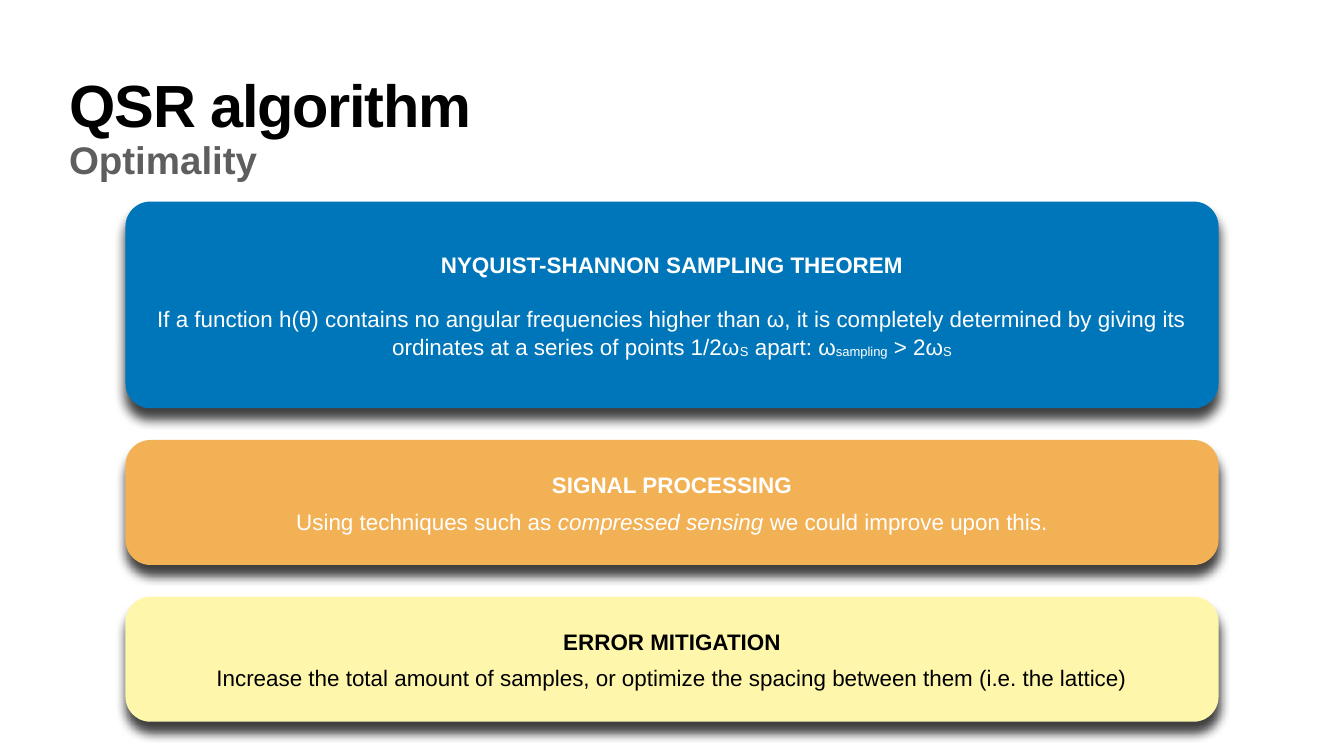
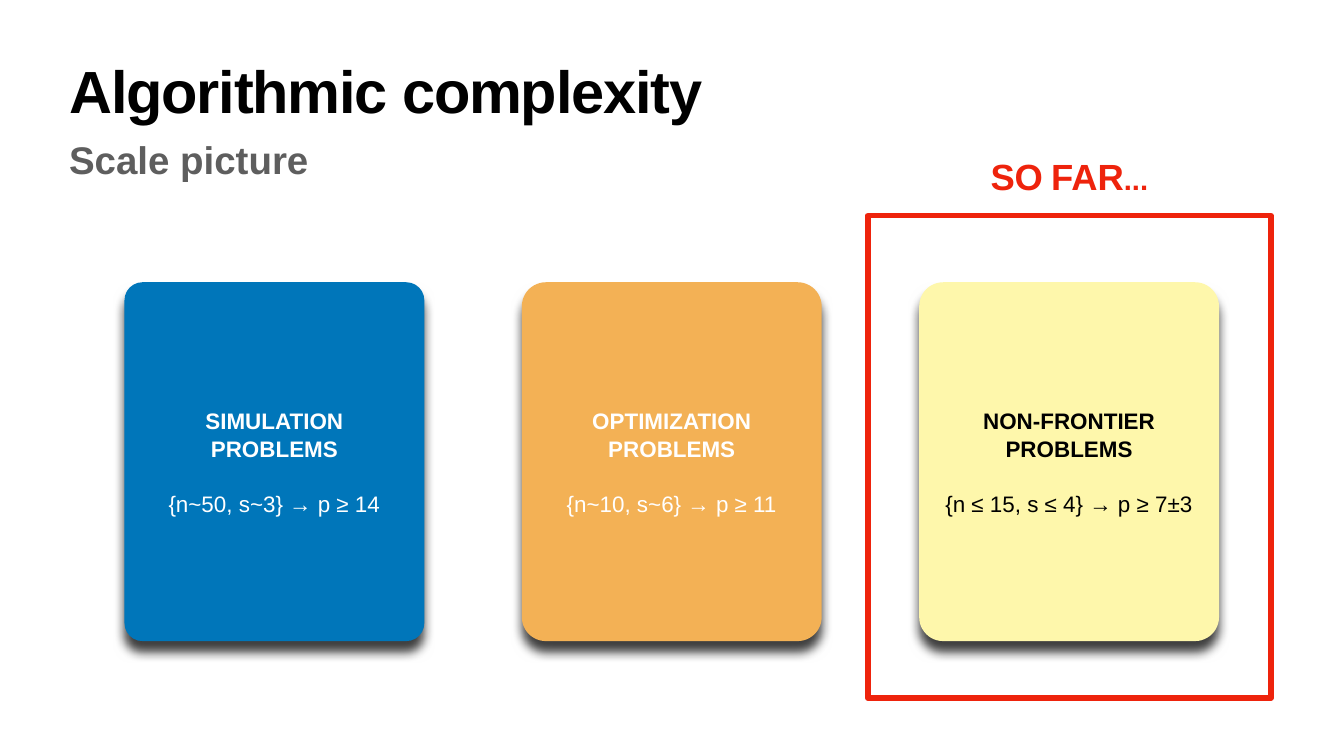
"""Build two slides on the QSR algorithm: its optimality and its complexity."""
from lxml.etree import SubElement
from pptx import Presentation
from pptx.dml.color import RGBColor
from pptx.enum.shapes import MSO_SHAPE as Shape
from pptx.enum.text import MSO_ANCHOR as Anchor, MSO_AUTO_SIZE as AutoSize, PP_ALIGN as Align
from pptx.oxml.ns import qn
from pptx.util import Inches, Pt

FONT = "Arial"
BLACK, WHITE, GRAY, RED = "000000", "FFFFFF", "5E5E5E", "EE230C"
BLUE, ORANGE, YELLOW = "0076BA", "F3B155", "FEF7AB"
hex_color = RGBColor.from_string


def write(paragraph, text, size=32, color=BLACK, bold=False, italic=False, **attributes):
    run = paragraph.add_run()
    run.text = text
    font = run.font
    font.name, font.size, font.bold, font.italic = FONT, Pt(size), bold, italic
    font.color.rgb = hex_color(color)
    for name, value in attributes.items():
        font._element.set(name, value)


def add_card(slide, box, radius, fill, color, heading, body, gap):
    card = slide.shapes.add_shape(Shape.ROUNDED_RECTANGLE, *map(Inches, box))
    card.adjustments[0] = radius
    card.fill.solid()
    card.fill.fore_color.rgb = hex_color(fill)
    card.line.fill.background()
    card.shadow.inherit = False
    effects = card._element.spPr.find(qn("a:effectLst"))
    shadow = SubElement(effects, qn("a:outerShdw"), blurRad=str(Pt(15)), dist=str(Pt(15)),
                        dir="5400000", rotWithShape="0")
    shadow_color = SubElement(shadow, qn("a:srgbClr"), val=BLACK)
    SubElement(shadow_color, qn("a:alpha"), val="75000")
    frame = card.text_frame
    frame.word_wrap = True
    frame.vertical_anchor = Anchor.MIDDLE
    frame.margin_left = frame.margin_right = Inches(0.28)
    frame.margin_top = frame.margin_bottom = Inches(0.28)
    write(frame.paragraphs[0], heading, color=color, bold=True)
    detail = frame.add_paragraph()
    detail.space_before = Pt(gap)
    for text, formats in body:
        write(detail, text, color=color, **formats)
    for paragraph in frame.paragraphs:
        paragraph.alignment = Align.CENTER
        paragraph.line_spacing = 1.04


presentation = Presentation()
presentation.slide_width, presentation.slide_height = Inches(26.67), Inches(15)
title_only = presentation.slide_layouts[5]

slides = []
for title_text, subtitle_text, spacing in [
    ("QSR algorithm", "Optimality", 1.0),
    ("Algorithmic complexity", "Scale picture", 0.8),
]:
    slide = presentation.slides.add_slide(title_only)
    title = slide.shapes.title
    title.left, title.top = Inches(1.32), Inches(1.18)
    title.width, title.height = Inches(24.03), Inches(1.57)
    subtitle = slide.shapes.add_textbox(Inches(1.32), Inches(2.6), Inches(24.03), Inches(1.02))
    for shape, inset, top_inset in [(title, 0.06, 0.16), (subtitle, 0.05, 0.1)]:
        frame = shape.text_frame
        frame.word_wrap = True
        frame.auto_size = AutoSize.NONE
        frame.vertical_anchor = Anchor.TOP
        frame.margin_left = frame.margin_right = frame.margin_bottom = Inches(inset)
        frame.margin_top = Inches(top_inset)
        frame.paragraphs[0].alignment = Align.LEFT
    title.text_frame.paragraphs[0].line_spacing = spacing
    write(title.text_frame.paragraphs[0], title_text, size=85, bold=True, spc="-170")
    write(subtitle.text_frame.paragraphs[0], subtitle_text, size=55, color=GRAY, bold=True)
    slides.append(slide)
optimality, complexity = slides

plain, subscript = {}, {"baseline": "-5999"}
theorem = [
    ("If a function h(θ) contains no angular frequencies higher than ω, it is completely "
     "determined by giving its ordinates at a series of points 1/2ω", plain),
    ("S", subscript), (" apart: ω", plain), ("sampling", subscript),
    (" > 2ω", plain), ("S", subscript),
]
techniques = [
    ("Using techniques such as ", plain), ("compressed sensing", {"italic": True}),
    (" we could improve upon this.", plain),
]
mitigation = [
    ("Increase the total amount of samples, or optimize the spacing between them "
     "(i.e. the lattice)", plain),
]
top = 4
for height, radius, fill, color, heading, body, gap in [
    (4.1, 0.12, BLUE, WHITE, "NYQUIST-SHANNON SAMPLING THEOREM", theorem, 38),
    (2.48, 0.2, ORANGE, WHITE, "SIGNAL PROCESSING", techniques, 12),
    (2.48, 0.2, YELLOW, BLACK, "ERROR MITIGATION", mitigation, 12),
]:
    add_card(optimality, (2.49, top, 21.69, height), radius, fill, color, heading, body, gap)
    top += height + 0.63

for column, (radius, fill, color, heading, scale) in enumerate([
    (0.06, BLUE, WHITE, "SIMULATION PROBLEMS", "{n~50, s~3} → p ≥ 14"),
    (0.08, ORANGE, WHITE, "OPTIMIZATION PROBLEMS", "{n~10, s~6} → p ≥ 11"),
    (0.08, YELLOW, BLACK, "NON-FRONTIER PROBLEMS", "{n ≤ 15, s ≤ 4} → p ≥ 7±3"),
]):
    box = (2.47 + 7.885 * column, 5.6, 5.95, 7.12)
    add_card(complexity, box, radius, fill, color, heading, [(scale, plain)], 38)

highlight = complexity.shapes.add_shape(
    Shape.RECTANGLE, Inches(17.22), Inches(4.28), Inches(8), Inches(9.57))
highlight.fill.background()
highlight.line.color.rgb = hex_color(RED)
highlight.line.width = Pt(8)
highlight.shadow.inherit = False

label = complexity.shapes.add_textbox(Inches(19.54), Inches(3), Inches(3.36), Inches(0.98))
frame = label.text_frame
frame.word_wrap = False
frame.auto_size = AutoSize.SHAPE_TO_FIT_TEXT
frame.vertical_anchor = Anchor.MIDDLE
frame.margin_left = frame.margin_right = Inches(0.06)
frame.margin_top = frame.margin_bottom = Inches(0.06)
frame.paragraphs[0].alignment = Align.CENTER
write(frame.paragraphs[0], "SO FAR...", size=52, color=RED, bold=True, cap="small")

presentation.save("out.pptx")
